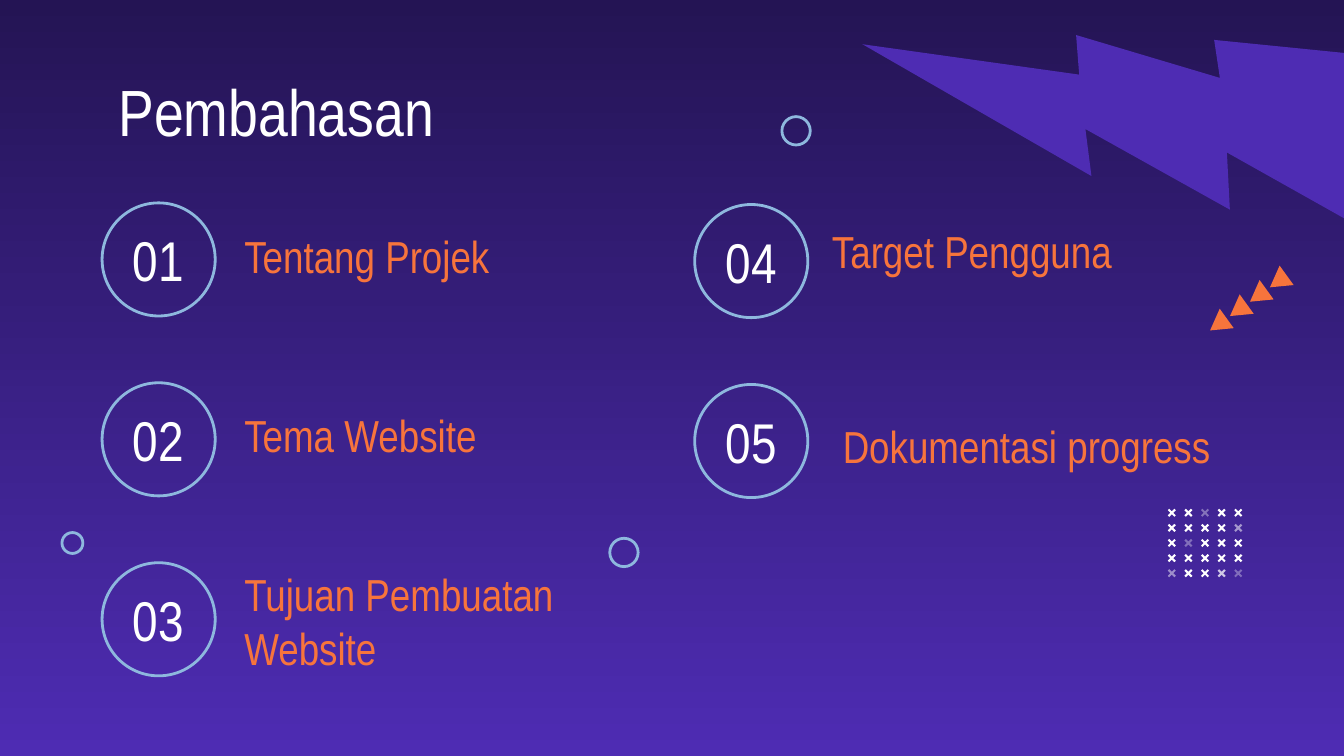
from lxml.etree import SubElement
from pptx import Presentation
from pptx.dml.color import RGBColor
from pptx.enum.shapes import MSO_SHAPE as Preset
from pptx.enum.text import MSO_ANCHOR as Anchor, MSO_AUTO_SIZE as AutoSize, PP_ALIGN as Align
from pptx.oxml.ns import qn
from pptx.util import Pt

NIGHT = RGBColor(0x24, 0x14, 0x54)
VIOLET = RGBColor(0x4E, 0x2C, 0xB3)
SKY = RGBColor(0x8E, 0xB8, 0xDE)
ORANGE = RGBColor(0xF7, 0x74, 0x3C)
WHITE = RGBColor(0xFF, 0xFF, 0xFF)

deck = Presentation()
deck.slide_width, deck.slide_height = Pt(720), Pt(405)
page = deck.slides.add_slide(deck.slide_layouts[5])

backdrop = page.background.fill
backdrop.gradient()
backdrop.gradient_angle = 270
for stop, color, position in zip(backdrop.gradient_stops, (NIGHT, VIOLET), (0, 1)):
    stop.color.rgb = color
    stop.position = position


def write(text, left, top, width, height, *, size, color=WHITE,
          align=Align.LEFT, anchor=Anchor.MIDDLE, box=None):
    """Fill the given box, or a new text box, with one formatted paragraph."""
    box = box or page.shapes.add_textbox(0, 0, 0, 0)
    box.left, box.top, box.width, box.height = Pt(left), Pt(top), Pt(width), Pt(height)
    frame = box.text_frame
    frame.word_wrap = True
    frame.auto_size = AutoSize.NONE
    frame.vertical_anchor = anchor
    frame.margin_left = frame.margin_right = Pt(7.2)
    frame.margin_top = frame.margin_bottom = Pt(7.2)
    para = frame.paragraphs[0]
    para.alignment = align
    span = para.add_run()
    span.text = text
    span.font.name = "Arial Narrow"
    span.font.size = Pt(size)
    span.font.color.rgb = color


def draw(preset, left, top, width, height, *, fill=None, line=None, rotation=0):
    shape = page.shapes.add_shape(preset, Pt(left), Pt(top), Pt(width), Pt(height))
    shape.shadow.inherit = False
    shape.rotation = rotation
    if fill is None:
        shape.fill.background()
    else:
        shape.fill.solid()
        shape.fill.fore_color.rgb = fill
    if line is None:
        shape.line.fill.background()
    else:
        shape.line.color.rgb = line
        shape.line.width = Pt(1.5)
    return shape


# Lightning bolt in the top right corner
bolt = draw(Preset.LIGHTNING_BOLT, 504, -49, 228.5, 228.5, fill=VIOLET, rotation=59.9)
bolt._element.spPr.find(qn("a:xfrm")).set("flipH", "1")

write("Pembahasan", 56.2, 31, 607, 46, size=35, anchor=Anchor.TOP, box=page.shapes.title)

# Numbered topics: each column has its circle position, then label positions
columns = [
    (54.7, 108.7, [("Tentang Projek", 123.8, 123.8),
                   ("Tema Website", 123.8, 219.6),
                   ("Tujuan Pembuatan Website", 123.8, 319)]),
    (372.2, 109.6, [("Target Pengguna", 438.6, 121),
                    ("Dokumentasi progress", 444.4, 225.6)]),
]
number = 0
for left, first_top, topics in columns:
    for row, (label, label_left, label_top) in enumerate(topics):
        number += 1
        top = first_top + 96.4 * row
        draw(Preset.OVAL, left, top, 60.6, 60.6, line=SKY)
        write(f"{number:02}", left - 2, top - 4.2, 64.4, 69, size=30, align=Align.CENTER)
        write(label, label_left, label_top, 245.5, 26.6, size=24, color=ORANGE)

# Grid of small crosses, some of them translucent (row, column: opacity in percent)
opacities = {(0, 2): 36, (1, 4): 53, (2, 1): 34, (4, 0): 48, (4, 3): 75, (4, 4): 33}
for row in range(5):
    for column in range(5):
        cross = draw(Preset.CROSS, 625.3 + 8.9 * column, 272.2 + 8.1 * row, 5, 5,
                     fill=WHITE, rotation=315)
        cross.adjustments[0] = 0.39
        if (row, column) in opacities:
            color = cross._element.spPr.find(".//" + qn("a:srgbClr"))
            SubElement(color, qn("a:alpha")).set("val", str(opacities[row, column] * 1000))

# Loose rings
for left, top, size in [(33.2, 285.3, 11.2), (418.9, 62.5, 15.2), (326.7, 288.4, 15.2)]:
    draw(Preset.OVAL, left, top, size, size, line=SKY)

# Descending trail of triangles
for step in range(4):
    draw(Preset.ISOSCELES_TRIANGLE, 678.4 - 10.7 * step, 145.2 + 7.7 * step, 12.8, 11,
         fill=ORANGE, rotation=234.2)

deck.save("out.pptx")
